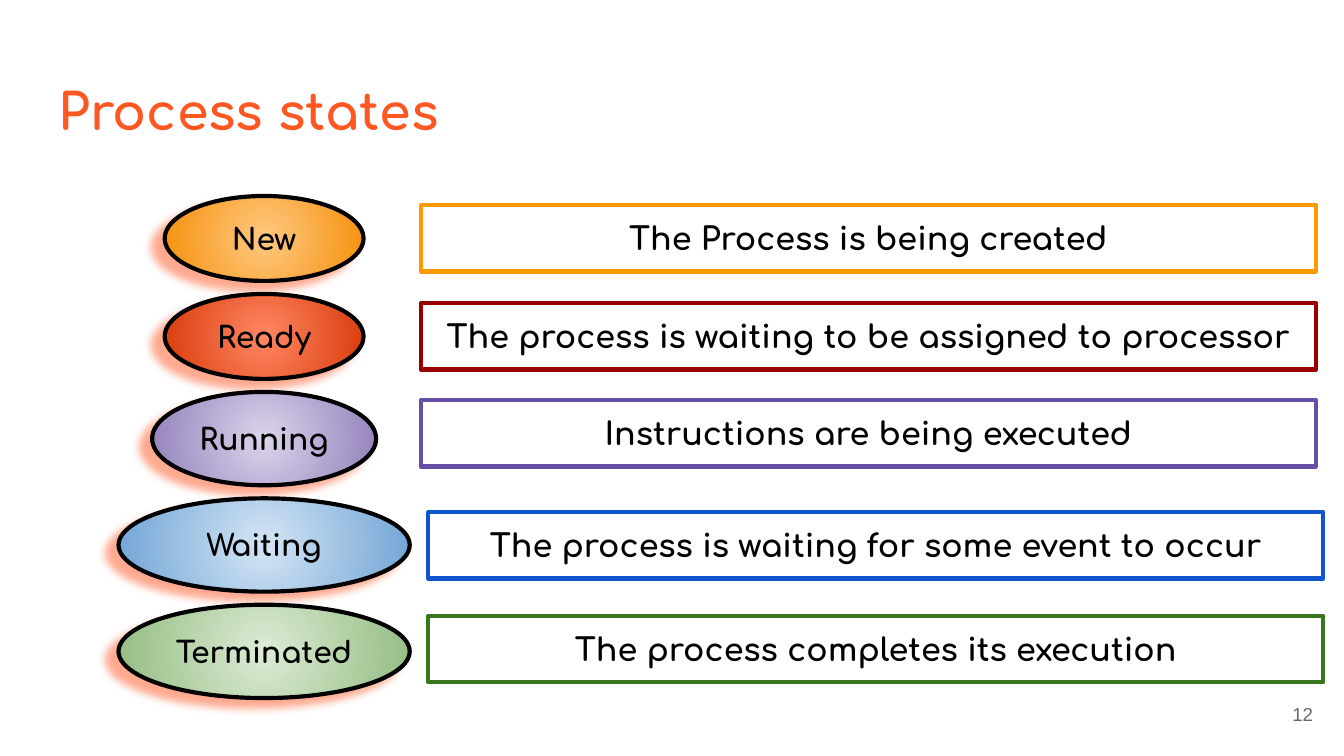
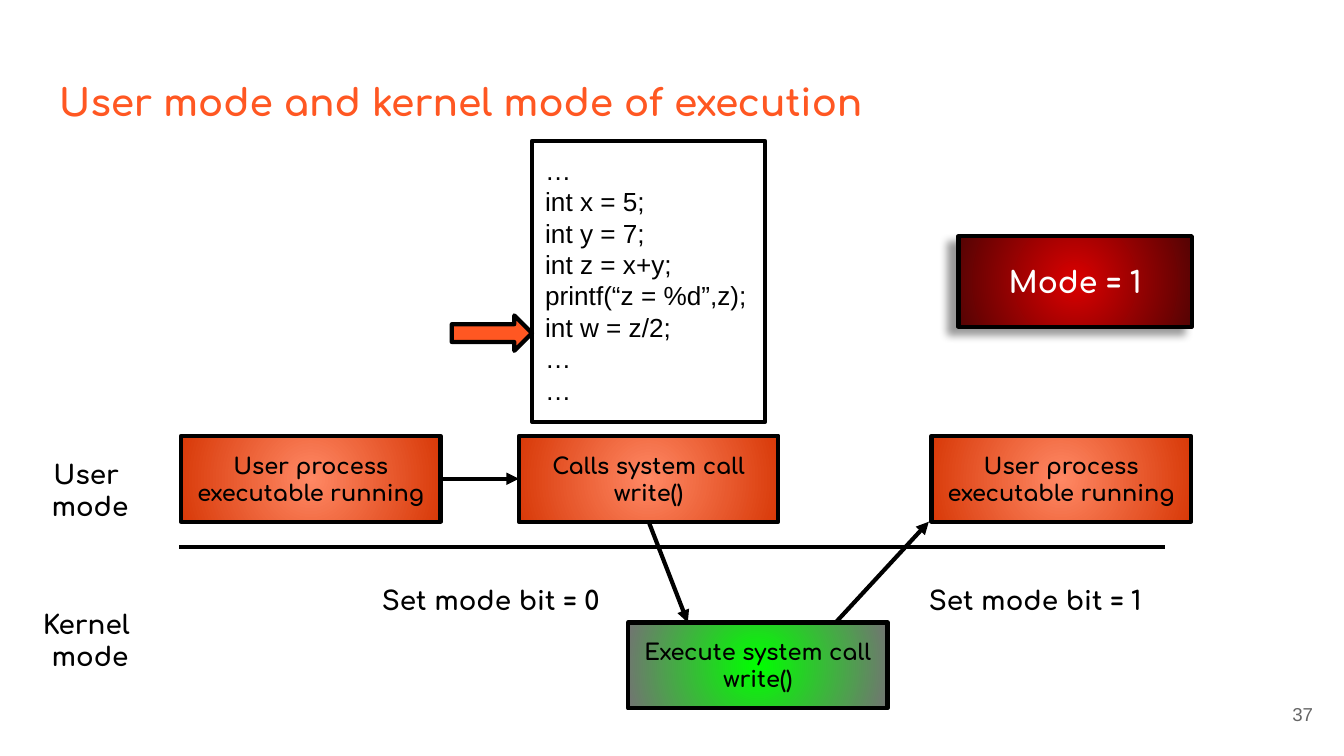
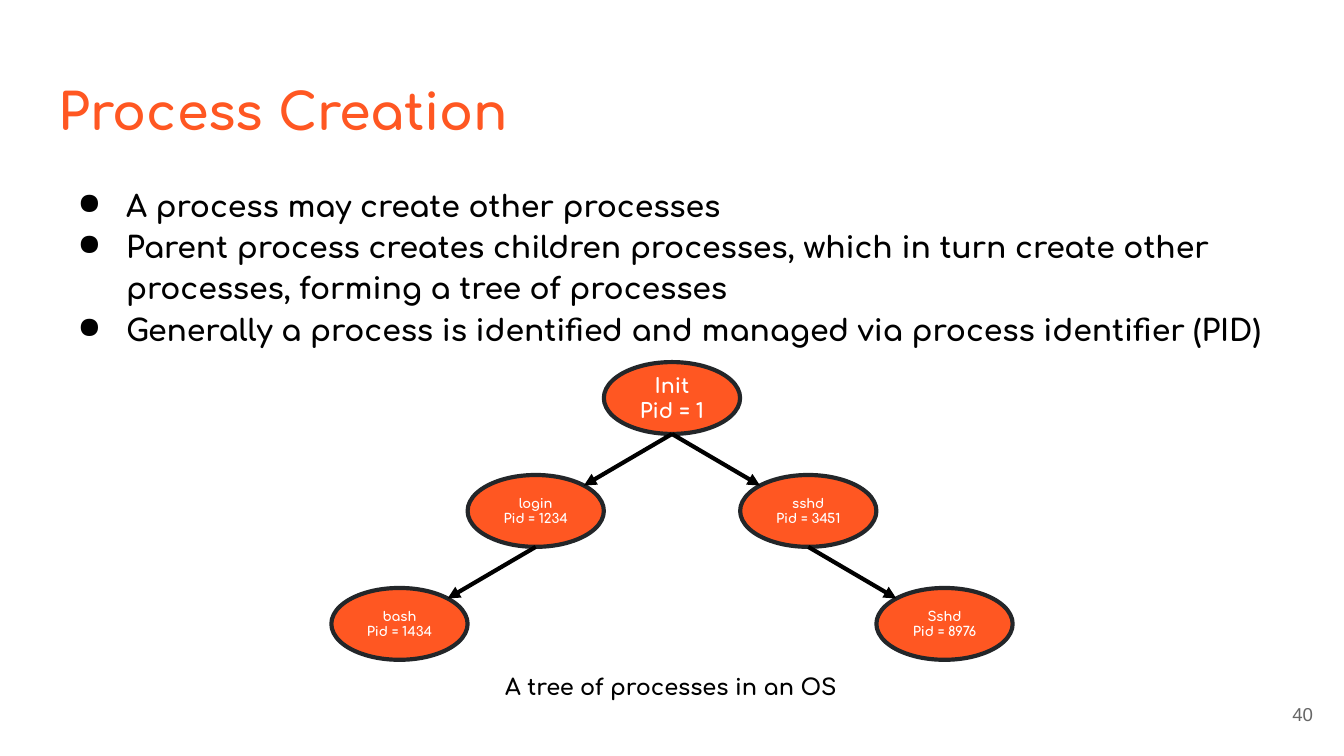
from dataclasses import dataclass
from math import sqrt

from lxml.etree import SubElement
from pptx import Presentation
from pptx.dml.color import RGBColor
from pptx.enum.shapes import MSO_CONNECTOR, MSO_SHAPE
from pptx.enum.text import MSO_ANCHOR, PP_ALIGN
from pptx.oxml.ns import qn
from pptx.slide import Slide
from pptx.util import Pt

BLACK, WHITE, ORANGE, GREY = "000000", "FFFFFF", "FF5722", "666666"
EMBER = ("FF8864", "D83908")
FACE, PLAIN = "Comfortaa", "Arial"
LEFT, MID, RIGHT = PP_ALIGN.LEFT, PP_ALIGN.CENTER, PP_ALIGN.RIGHT
RIM = 2.25


@dataclass(frozen=True)
class Box:
    """A frame in points."""
    x: float
    y: float
    w: float
    h: float

    def point(self, across: float, down: float) -> tuple[float, float]:
        """Give the point at these shares of the width and height."""
        return self.x + across * self.w, self.y + down * self.h

    def span(self) -> tuple[Pt, Pt, Pt, Pt]:
        """Give left, top, width and height as lengths."""
        return Pt(self.x), Pt(self.y), Pt(self.w), Pt(self.h)


@dataclass(frozen=True)
class Shade:
    """A cast shadow."""
    tint: str
    alpha: int
    far: float
    angle: int


@dataclass(frozen=True)
class State:
    """A process state with its oval and its bar."""
    name: str
    note: str
    glow: tuple[str, str]
    edge: str
    wide: float
    high: float
    left: float
    top: float


@dataclass(frozen=True)
class Step:
    """A box in the mode flow."""
    text: str
    x: float
    y: float
    glow: tuple[str, str] = EMBER


@dataclass(frozen=True)
class Node:
    """A process in the tree, placed by column and row."""
    name: str
    pid: int
    col: int
    row: int
    up: int = -1
    size: int = 7


STATES = [
    State("New", "The Process is being created", ("FFC982", "F58F09"), "FF9900", 106.5, 45.5, 225.5, 110),
    State("Ready", "The process is waiting to be assigned to processor", EMBER, "980000", 106.5, 45.5, 225.5, 162.5),
    State("Running", "Instructions are being executed", ("DBD4EB", "9180BB"), "674EA7", 120, 50, 225.5, 214.5),
    State("Waiting", "The process is waiting for some event to occur", ("D4E5F5", "70A4D5"), "1155CC", 156, 50, 229.5, 274.5),
    State("Terminated", "The process completes its execution", ("DCECD5", "93BC81"), "38761D", 156, 50, 229.5, 330),
]
STEPS = [
    Step("User process executable running", 97, 233.5),
    Step("Calls system call\nwrite()", 278, 233.5),
    Step("Execute system call\nwrite()", 336.5, 333.5, ("00FF00", "737373")),
    Step("User process executable running", 499, 233.5),
]
CODE = "…\nint x = 5;\nint y = 7;\nint z = x+y;\nprintf(“z = %d”,z);\nint w = z/2;\n…\n…"
LABELS = [
    ("User \nmode", Box(18, 238.5, 60.5, 48), MID),
    ("Kernel \nmode", Box(10, 319, 76.5, 48), MID),
    ("Set mode bit = 0", Box(197.5, 306, 139, 31.5), LEFT),
    ("Set mode bit = 1", Box(490.5, 306, 139, 31.5), LEFT),
]
FACTS = "\n".join([
    "A process may create other processes",
    "Parent process creates children processes, which in turn create other processes, forming a tree of processes",
    "Generally a process is identified and managed via process identifier (PID)",
])
NODES = [
    Node("Init", 1, 0, 0, size=11),
    Node("login", 1234, -1, 1, 0),
    Node("sshd", 3451, 1, 1, 0),
    Node("bash", 1434, -2, 2, 1),
    Node("Sshd", 8976, 2, 2, 2),
]


def hue(code: str) -> RGBColor:
    """Turn a hex string into a colour."""
    return RGBColor.from_string(code)


def write(shape, text: str, *, size: float, face: str = FACE, tint: str = BLACK, bold: bool = True,
          align: PP_ALIGN = MID, anchor: MSO_ANCHOR = MSO_ANCHOR.MIDDLE, dots: bool = False) -> None:
    """Fill a shape with text, one paragraph a line."""
    frame = shape.text_frame
    frame.word_wrap = True
    frame.vertical_anchor = anchor
    frame.margin_left = frame.margin_right = frame.margin_top = frame.margin_bottom = Pt(7.2)
    frame.text = text
    for para in frame.paragraphs:
        para.alignment = align
        if dots:
            para.line_spacing = 1.15
            props = para._p.get_or_add_pPr()
            props.set("marL", str(Pt(36)))
            props.set("indent", str(Pt(-26)))
            SubElement(SubElement(props, qn("a:buClr")), qn("a:srgbClr"), val=tint)
            SubElement(props, qn("a:buChar"), char="●")
        for run in para.runs:
            font = run.font
            font.name, font.size, font.bold = face, Pt(size), bold
            font.color.rgb = hue(tint)


def label(slide: Slide, box: Box, text: str, **form) -> None:
    """Add a text box, set from the top."""
    write(slide.shapes.add_textbox(*box.span()), text, **{"anchor": MSO_ANCHOR.TOP, **form})


def draw(slide: Slide, kind: MSO_SHAPE, box: Box, *, fill: str | tuple[str, str] | None = None,
         edge: str = BLACK, shade: Shade | None = None):
    """Add a shape with a plain, round gradient or empty fill."""
    shape = slide.shapes.add_shape(kind, *box.span())
    shape.line.color.rgb = hue(edge)
    shape.line.width = Pt(RIM)
    shape.shadow.inherit = False
    if fill is None:
        shape.fill.background()
    elif isinstance(fill, str):
        shape.fill.solid()
        shape.fill.fore_color.rgb = hue(fill)
    else:
        shape.fill.gradient()
        for stop, code in zip(shape.fill.gradient_stops, fill):
            stop.color.rgb = hue(code)
        grad = shape._element.spPr.find(qn("a:gradFill"))
        grad.remove(grad.find(qn("a:lin")))
        ring = SubElement(grad, qn("a:path"), {"path": "circle"})
        SubElement(ring, qn("a:fillToRect"), dict.fromkeys("ltrb", "50000"))
    if shade:
        cast = SubElement(shape._element.spPr.find(qn("a:effectLst")), qn("a:outerShdw"),
                          blurRad=str(Pt(4.5)), dist=str(Pt(shade.far)), dir=str(shade.angle * 60000),
                          algn="bl", rotWithShape="0")
        tone = SubElement(cast, qn("a:srgbClr"), val=shade.tint)
        SubElement(tone, qn("a:alpha"), val=str(shade.alpha * 1000))
    return shape


def link(slide: Slide, start: tuple[float, float], end: tuple[float, float], head: bool = True) -> None:
    """Join two points by a line or an arrow."""
    line = slide.shapes.add_connector(MSO_CONNECTOR.STRAIGHT, *map(Pt, start + end))
    line.line.color.rgb = hue(BLACK)
    line.line.width = Pt(RIM)
    props = line._element.spPr
    if head:
        SubElement(props.find(qn("a:ln")), qn("a:tailEnd"), type="triangle")
    SubElement(props, qn("a:effectLst"))


def start(deck, title: str, page: int, size: float = 27) -> Slide:
    """Add a slide with its title and number."""
    slide = deck.slides.add_slide(deck.slide_layouts[6])
    label(slide, Box(24.5, 35.5, 671, 45), title, size=size, tint=ORANGE, align=LEFT)
    label(slide, Box(667.5, 367, 43, 31), str(page), size=10, face=PLAIN, tint=GREY, bold=False,
          align=RIGHT, anchor=MSO_ANCHOR.MIDDLE)
    return slide


def states(deck) -> None:
    """Build the list of process states."""
    slide = start(deck, "Process states", 12)
    glow = Shade(ORANGE, 50, 7.5, 146)
    top, gap, axis = 105, 7, 141.5
    for state in STATES:
        oval = Box(axis - state.wide / 2, top, state.wide, state.high)
        write(draw(slide, MSO_SHAPE.OVAL, oval, fill=state.glow, shade=glow), state.name, size=16)
        bar = Box(state.left, state.top, 479.5, 35.5)
        write(draw(slide, MSO_SHAPE.RECTANGLE, bar, edge=state.edge), state.note, size=17,
              anchor=MSO_ANCHOR.TOP)
        top += state.high + gap


def modes(deck) -> None:
    """Build the flow between user and kernel mode."""
    slide = start(deck, "User mode and kernel mode of execution", 37, 20)
    link(slide, (96, 293), (624, 293), head=False)
    code = draw(slide, MSO_SHAPE.RECTANGLE, Box(285, 75.5, 125, 150.5))
    write(code, CODE, size=14, face=PLAIN, bold=False, align=LEFT, anchor=MSO_ANCHOR.TOP)
    draw(slide, MSO_SHAPE.RIGHT_ARROW, Box(242, 169, 43, 19), fill=ORANGE)
    mode = draw(slide, MSO_SHAPE.RECTANGLE, Box(513.5, 126.5, 125, 48.5), fill=("DB0000", "540303"),
                shade=Shade(BLACK, 40, 6, 145))
    write(mode, "Mode = 1", size=16, tint=WHITE)
    boxes = [Box(step.x, step.y, 139, 46) for step in STEPS]
    for step, box in zip(STEPS, boxes):
        write(draw(slide, MSO_SHAPE.RECTANGLE, box, fill=step.glow), step.text, size=12)
    first, call, run, last = boxes
    link(slide, first.point(1, 0.5), call.point(0, 0.5))
    link(slide, call.point(0.5, 1), run.point(0.23, 0))
    link(slide, run.point(0.8, 0), last.point(-0.01, 1))
    for text, box, align in LABELS:
        label(slide, box, text, size=14, align=align)


def tree(deck) -> None:
    """Build the facts and the tree of processes."""
    slide = start(deck, "Process Creation", 40)
    label(slide, Box(24.5, 90.5, 671, 288), FACTS, size=16, align=LEFT, dots=True)
    boxes = [Box(323.5 + 73 * node.col, 194 + 60.5 * node.row, 73, 38.5) for node in NODES]
    for node, box in zip(NODES, boxes):
        oval = draw(slide, MSO_SHAPE.OVAL, box, fill=ORANGE, edge="232629")
        write(oval, f"{node.name}\nPid = {node.pid}", size=node.size, tint=WHITE)
    rim = (1 - 1 / sqrt(2)) / 2
    for node, box in zip(NODES, boxes):
        if node.up >= 0:
            side = rim if node.col > 0 else 1 - rim
            link(slide, boxes[node.up].point(0.5, 1), box.point(side, rim))
    label(slide, Box(263.5, 353.5, 193, 29), "A tree of processes in an OS", size=12, align=LEFT)


def main() -> None:
    """Build and save the deck."""
    deck = Presentation()
    deck.slide_width, deck.slide_height = Pt(720), Pt(405)
    for build in (states, modes, tree):
        build(deck)
    deck.save("out.pptx")


if __name__ == "__main__":
    main()
